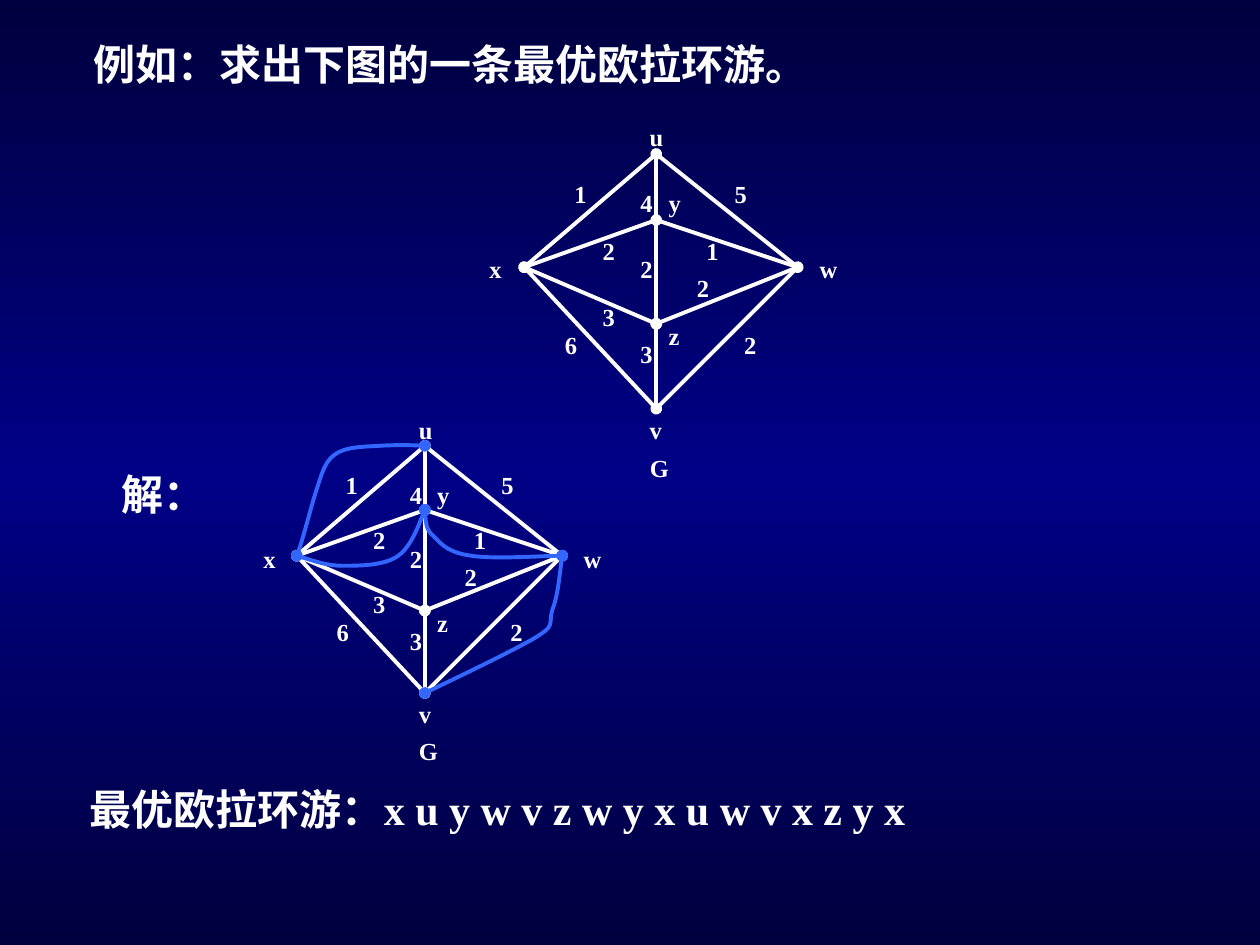
from copy import deepcopy
from dataclasses import dataclass
from pptx import Presentation
from pptx.dml.color import RGBColor as RGB
from pptx.enum.shapes import MSO_CONNECTOR as LINE
from pptx.oxml.ns import qn
from pptx.oxml.xmlchemy import OxmlElement as Node
from pptx.util import Pt


@dataclass
class Theme:
    ink: RGB = RGB(0xFF, 0xFF, 0xFF)
    blue: RGB = RGB(0x33, 0x66, 0xFF)
    dark: RGB = RGB(0, 0, 0x3E)
    mid: RGB = RGB(0, 0, 0x86)
    font: str = "Times New Roman"
    body: float = 24
    label: float = 14
    width: float = 2.25


NODES = {"u": (0, 0), "y": (0, 7), "z": (0, 18), "v": (0, 27),
         "x": (-14, 12), "w": (15, 12)}
EDGES = ["xz", "ux", "uy", "xy", "yz", "zv", "xv", "uw", "yw", "wz", "wv"]
DOTTED = {"ux", "yz", "xv", "wz"}
LABELS = [("y", 0, 3), ("2", 8, 18), ("2", 3, 12), ("2", -3, 10),
          ("2", -7, 8), ("1", 4, 8), ("1", -10, 2), ("u", -2, -4),
          ("4", -3, 3), ("3", -7, 15), ("3", -3, 19), ("6", -11, 18),
          ("5", 7, 2), ("w", 16, 10), ("x", -19, 10), ("v", -2, 27),
          ("G", -2, 31), ("z", 0, 17)]
CURVES = [
    [(0, 0), (-1.65, -0.1), (-3.3, -0.1), (-5, 0), (-6.6, 0.1), (-8.8, 0.1),
     (-9.9, 1), (-11, 1.8), (-11.3, 3.2), (-11.9, 5), (-12.5, 6.9),
     (-13.5, 10.9), (-14, 12)],
    [(-14, 12), (-12.3, 12.5), (-10.7, 13.1), (-9, 13.1), (-7.2, 13.1),
     (-4.4, 13.1), (-2.9, 12), (-1.5, 11), (-0.4, 7.9), (0, 7)],
    [(0, 7), (0.1, 8.1), (0.1, 9.2), (1.1, 10), (1.9, 10.9), (2.8, 11.7),
     (5, 12), (7.3, 12.4), (13.4, 12), (15, 12)],
    [(15, 12), (14.7, 14.3), (14.5, 16.5), (13.9, 18), (13.5, 19.6),
     (14.3, 19.6), (12, 21), (9.6, 22.4), (2.1, 26), (0, 27)],
]


class Deck:
    def __init__(self, theme):
        self.theme = theme
        self.file = Presentation()
        self.file.slide_width, self.file.slide_height = Pt(720), Pt(540)
        self.slide = self.file.slides.add_slide(self.file.slide_layouts[6])
        self.paint()

    def paint(self):
        fill = self.slide.background.fill
        fill.gradient()
        fill.gradient_angle = 270
        stops = next(self.slide.element.iter(qn("a:gsLst")))
        stops.append(deepcopy(stops[-1]))
        tones = [self.theme.dark, self.theme.mid, self.theme.dark]
        for stop, tone, pos in zip(fill.gradient_stops, tones, (0, 0.5, 1)):
            stop.color.rgb = tone
            stop.position = pos

    def text(self, shapes, words, left, top, wide, high, size, indent=0):
        frame = shapes.add_textbox(Pt(left), Pt(top), Pt(wide), Pt(high)).text_frame
        frame.word_wrap = True
        frame.text = words
        para = frame.paragraphs[0]
        if indent:
            para._p.get_or_add_pPr().set("indent", str(Pt(indent)))
        font = para.runs[0].font
        font.name, font.size, font.bold = self.theme.font, Pt(size), True
        font.color.rgb = self.theme.ink

    def line(self, shapes, start, end, dots):
        edge = shapes.add_connector(LINE.STRAIGHT, *map(Pt, start + end))
        edge._element.spPr.append(Node("a:effectLst"))
        self.stroke(edge, self.theme.ink, dots)

    def stroke(self, shape, tone, dots):
        shape.line.color.rgb = tone
        shape.line.width = Pt(self.theme.width)
        if dots:
            for end in ("a:headEnd", "a:tailEnd"):
                mark = Node(end)
                mark.set("type", "oval")
                shape.line._get_or_add_ln().append(mark)

    def curve(self, shapes, points):
        first, *rest = [(Pt(x), Pt(y)) for x, y in points]
        pen = shapes.build_freeform(*first)
        pen.add_line_segments(rest, close=False)
        shape = pen.convert_to_shape()
        shape.fill.background()
        shape.shadow.inherit = False
        steps = list(shape._element.iter(qn("a:lnTo")))
        for i in range(0, len(steps), 3):
            bend = Node("a:cubicBezTo")
            steps[i].addprevious(bend)
            for step in steps[i:i + 3]:
                bend.append(step[0])
                step.getparent().remove(step)
        self.stroke(shape, self.theme.blue, True)

    def graph(self, left, top, unit, curves=()):
        def place(spot):
            return left + spot[0] * unit, top + spot[1] * unit

        shapes = self.slide.shapes.add_group_shape().shapes
        for a, b in EDGES:
            self.line(shapes, place(NODES[a]), place(NODES[b]), a + b in DOTTED)
        for name, *spot in LABELS:
            wide = 26 if name == "G" else 22
            self.text(shapes, name, *place(spot), wide, 24.5, self.theme.label)
        for points in curves:
            self.curve(shapes, [place(spot) for spot in points])


def main():
    deck = Deck(Theme())
    deck.graph(375, 88, 5.39)
    deck.graph(242.8, 254.8, 5.23, CURVES)
    for words, left, top in [
        ("例如：求出下图的一条最优欧拉环游。", 14.4, 18.7),
        ("解：", 30.2, 264.2),
        ("最优欧拉环游：x u y w v z w y x u w v x z y x", 12.2, 444.2),
    ]:
        deck.text(deck.slide.shapes, words, left, top, 624, 36, deck.theme.body, 32)
    deck.file.save("out.pptx")


if __name__ == "__main__":
    main()
